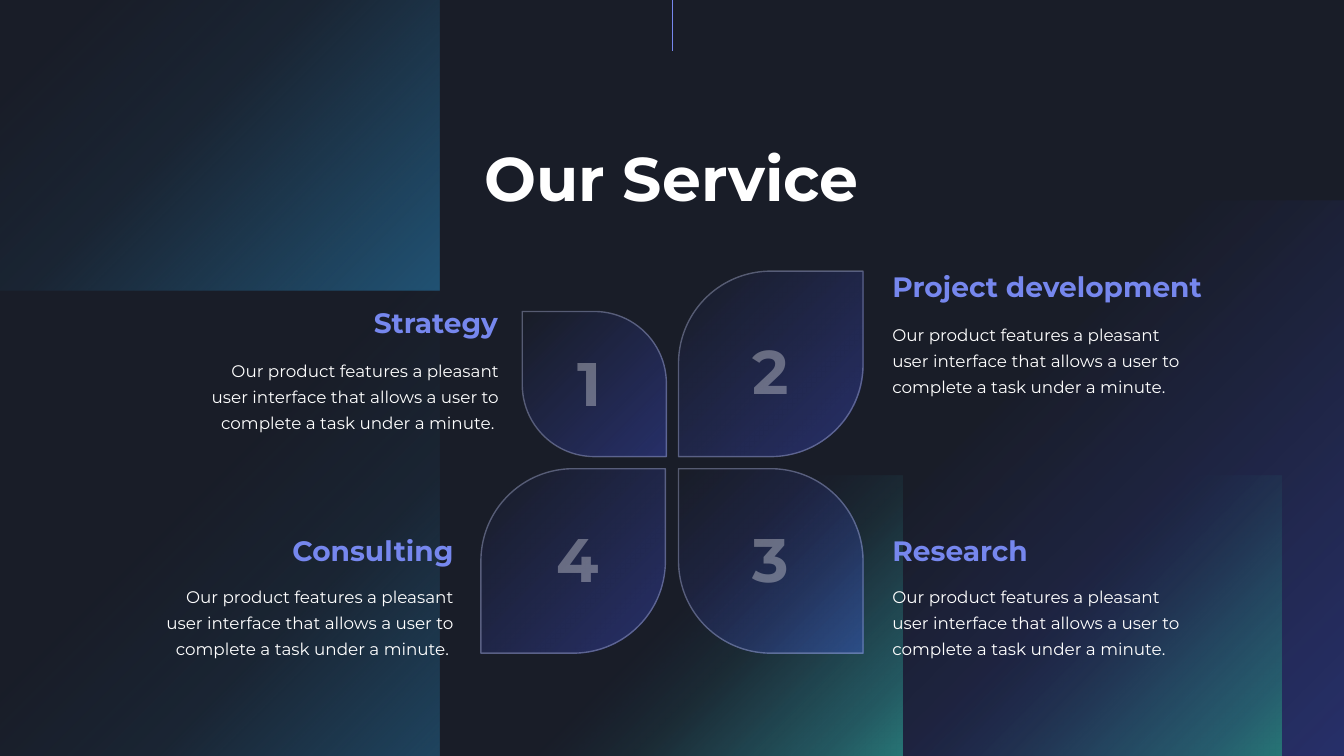
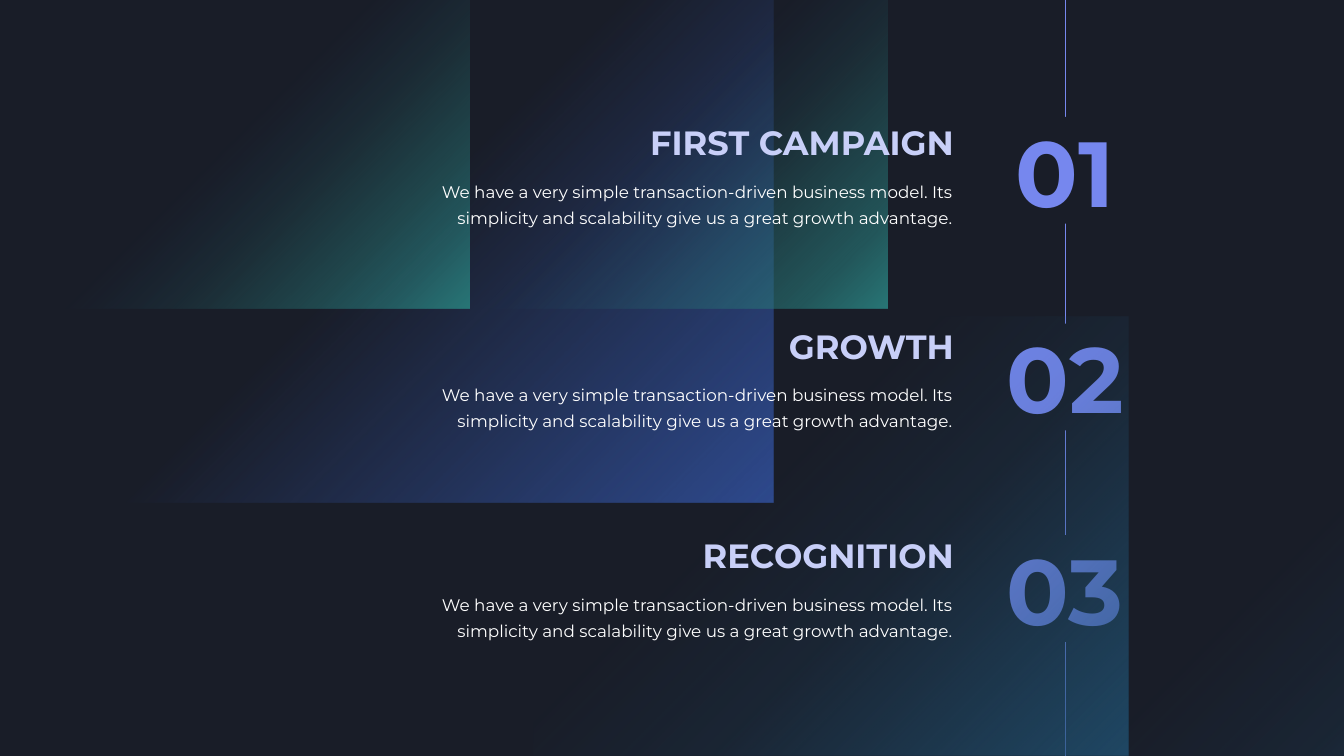
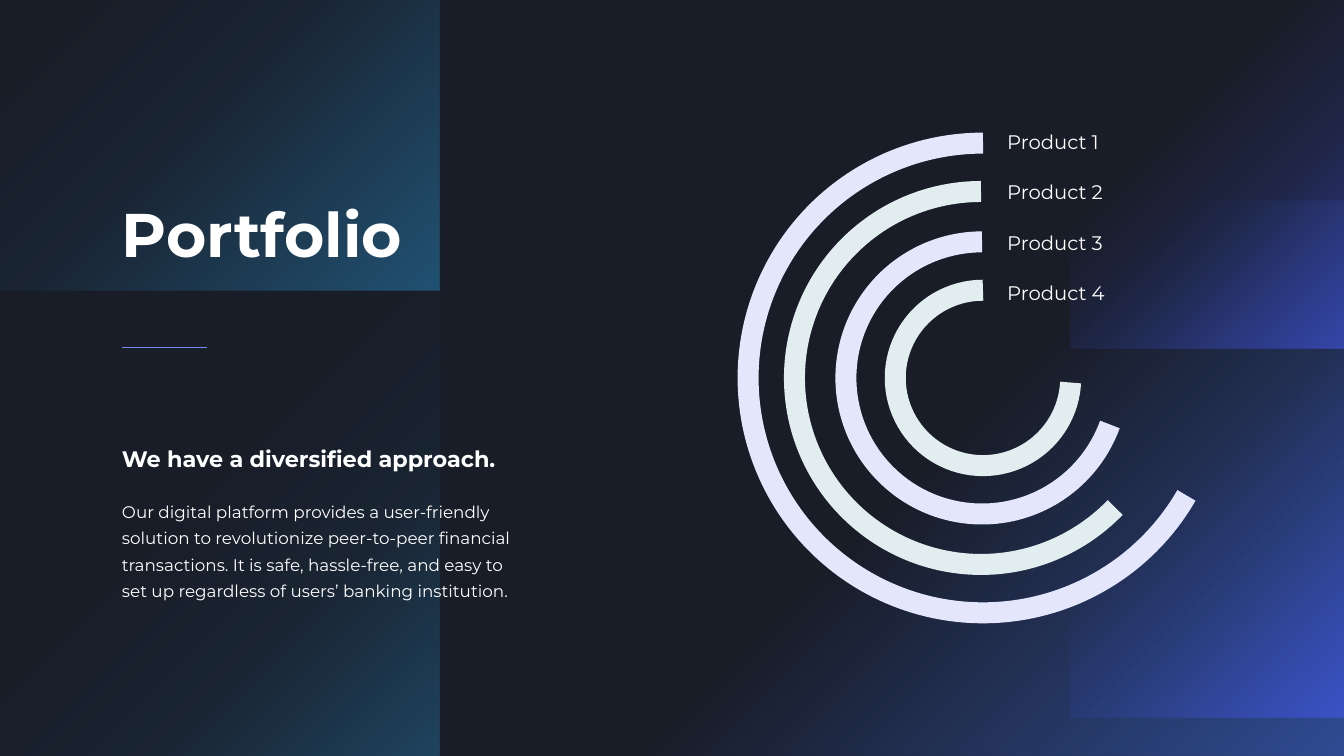
from lxml import etree
from pptx import Presentation
from pptx.dml.color import RGBColor
from pptx.enum.shapes import MSO_CONNECTOR, MSO_SHAPE
from pptx.enum.text import MSO_ANCHOR, MSO_AUTO_SIZE, PP_ALIGN
from pptx.oxml import parse_xml
from pptx.oxml.ns import nsdecls, qn
from pptx.util import Inches, Pt

RECT, LEAF, ARC = MSO_SHAPE.RECTANGLE, MSO_SHAPE.ROUND_2_DIAG_RECTANGLE, MSO_SHAPE.ARC
STRAIGHT = MSO_CONNECTOR.STRAIGHT
LEFT, CENTER, RIGHT = PP_ALIGN.LEFT, PP_ALIGN.CENTER, PP_ALIGN.RIGHT
TOP, MIDDLE, BOTTOM = MSO_ANCHOR.TOP, MSO_ANCHOR.MIDDLE, MSO_ANCHOR.BOTTOM

THEME = {
    "font": "Montserrat",
    "background": "191D28",
    "accent": "7687EE",
    "pale": "C8CFF8",
    "rings": ["E4E6FC", "E1EDEE"],
    "text": {
        "title": {"size": 44, "bold": True, "color": "FFFFFF"},
        "numeral": {"size": 44, "bold": True, "color": "FFFFFF", "alpha": 32},
        "heading": {"size": 20, "bold": True, "color": "7687EE", "spacing": 1.3},
        "caps": {"size": 24, "bold": True, "color": "C8CFF8"},
        "big": {"size": 66, "bold": True, "color": "7687EE"},
        "lead": {"size": 16, "bold": True, "color": "FFFFFF", "spacing": 1.3},
        "body": {"size": 12, "bold": False, "color": "FFFFFF", "spacing": 1.3},
        "label": {"size": 14, "bold": False, "color": "FFFFFF"},
    },
    "glow": {
        "teal": [(0, "215273", 100), (40, "215273", 15), (61, "215273", 0)],
        "soft_teal": [(0, "215273", 80), (40, "215273", 16), (61, "215273", 0)],
        "green": [(0, "287676", 100), (12, "287676", 65), (38, "287676", 19), (56, "215273", 0)],
        "indigo": [(0, "485BFF", 30), (51, "485BFF", 0)],
        "bright_indigo": [(0, "485BFF", 50), (34, "485BFF", 15), (61, "485BFF", 0)],
        "blue": [(0, "3558AE", 75), (51, "3558AE", 0)],
        "strong_blue": [(0, "3558AE", 80), (51, "3558AE", 0)],
        "leaf": [(0, "485BFF", 30), (97, "485BFF", 0)],
    },
}


def add_glow(s, box, glow, kind=RECT):
    sp = s.shapes.add_shape(kind, *map(Inches, box))
    sp.shadow.inherit = False
    stops = "".join(
        f'<a:gs pos="{pos * 1000}"><a:srgbClr val="{color}">'
        f'<a:alpha val="{alpha * 1000}"/></a:srgbClr></a:gs>'
        for pos, color, alpha in THEME["glow"][glow])
    sp._element.spPr.insert(2, parse_xml(
        f'<a:gradFill {nsdecls("a")}><a:gsLst>{stops}</a:gsLst>'
        '<a:path path="circle"><a:fillToRect l="100000" t="100000"/></a:path>'
        '<a:tileRect r="-100000" b="-100000"/></a:gradFill>'))
    sp.line.fill.background()
    return sp


def add_text(s, box, text, style, align=LEFT, anchor=TOP):
    look = THEME["text"][style]
    sp = s.shapes.add_textbox(*map(Inches, box))
    tf = sp.text_frame
    frame = {"word_wrap": True, "auto_size": MSO_AUTO_SIZE.NONE, "vertical_anchor": anchor,
             "margin_left": 0, "margin_right": 0,
             "margin_top": Inches(0.05), "margin_bottom": Inches(0.05)}
    for name, value in frame.items():
        setattr(tf, name, value)
    p = tf.paragraphs[0]
    p.alignment = align
    p.line_spacing = look.get("spacing")
    r = p.add_run()
    r.text = text
    for name, value in {"name": THEME["font"], "size": Pt(look["size"]), "bold": look["bold"]}.items():
        setattr(r.font, name, value)
    r.font.color.rgb = RGBColor.from_string(look["color"])
    if "alpha" in look:
        color = r._r.find(".//" + qn("a:srgbClr"))
        etree.SubElement(color, qn("a:alpha")).set("val", str(look["alpha"] * 1000))
    return sp


prs = Presentation()
prs.slide_width, prs.slide_height = Inches(13.33), Inches(7.5)

slides = []
for rule in [(6.67, 0, 6.67, 0.51), (10.57, 0, 10.57, 7.5), (1.21, 3.45, 2.05, 3.45)]:
    s = prs.slides.add_slide(prs.slide_layouts[6])
    s.background.fill.solid()
    s.background.fill.fore_color.rgb = RGBColor.from_string(THEME["background"])
    line = s.shapes.add_connector(STRAIGHT, *map(Inches, rule))
    line.line.color.rgb = RGBColor.from_string(THEME["accent"])
    line.line.width = Pt(0.75)
    etree.SubElement(line._element.spPr, qn("a:effectLst"))
    slides.append(s)
service, campaign, portfolio = slides

for s in (service, portfolio):
    for y in (-3.02, 2.87):
        add_glow(s, (0, y, 4.36, 5.9), "teal")

add_glow(service, (5.18, 1.99, 8.16, 5.51), "indigo")
for x in (5.18, 8.94):
    add_glow(service, (x, 4.72, 3.77, 2.78), "green")
add_text(service, (3.91, 1.34, 5.51, 0.89), "Our Service", "title", CENTER)

leaves = [
    ("1", (5.18, 3.09, 1.43, 1.44), (0, 0.5), (5.3, 3.37)),
    ("2", (6.73, 2.69, 1.83, 1.84), (0.5, 0), (7.1, 3.25)),
    ("4", (4.77, 4.65, 1.83, 1.83), (0.5, 0), (5.18, 5.12)),
    ("3", (6.73, 4.65, 1.83, 1.83), (0, 0.5), (7.1, 5.12)),
]
for numeral, box, corners, (x, y) in leaves:
    sp = add_glow(service, box, "leaf", LEAF)
    sp.adjustments[0], sp.adjustments[1] = corners
    sp.line.color.rgb = RGBColor.from_string(THEME["pale"])
    sp.line.width = Pt(1)
    color = sp._element.spPr.find(".//" + qn("a:ln") + "//" + qn("a:srgbClr"))
    etree.SubElement(color, qn("a:alpha")).set("val", "34000")
    add_text(service, (x, y, 1.09, 0.89), numeral, "numeral", CENTER)

feature = ("Our product features a pleasant user interface that allows "
           "a user to complete a task under a minute.")
services = [
    ("Strategy", (3.56, 2.88, 1.38, 0.58), (1.96, 3.47, 2.99, 0.77), RIGHT, TOP),
    ("Project development", (8.85, 2.52, 3.16, 0.58), (8.85, 3.11, 2.87, 0.77), LEFT, TOP),
    ("Consulting", (2.77, 5.18, 1.73, 0.5), (1.62, 5.82, 2.88, 0.77), RIGHT, BOTTOM),
    ("Research", (8.85, 5.18, 1.51, 0.5), (8.85, 5.82, 2.99, 0.77), LEFT, BOTTOM),
]
for heading, heading_box, body_box, align, anchor in services:
    body = feature + " " if align == RIGHT else feature
    add_text(service, heading_box, heading, "heading", align, anchor)
    add_text(service, body_box, body, "body", align, anchor)

steps = [("01", "FIRST CAMPAIGN", 1.16, 1.16), ("02", "GROWTH", 3.21, 3.18),
         ("03", "RECOGNITION", 5.31, 5.26)]
for number, heading, number_y, heading_y in steps:
    sp = add_text(campaign, (9.33, number_y, 2.47, 1.06), number, "big", CENTER, MIDDLE)
    sp.fill.solid()
    sp.fill.fore_color.rgb = RGBColor.from_string(THEME["background"])

add_glow(campaign, (0, 0, 7.67, 4.98), "blue")
for x in (5.29, 11.18):
    add_glow(campaign, (x, 3.14, 5.9, 4.36), "soft_teal")
for x in (0.52, 4.66):
    add_glow(campaign, (x, 0, 4.14, 3.06), "green")

model = ("We have a very simple transaction-driven business model. "
         "Its simplicity and scalability give us a great growth advantage.")
for number, heading, number_y, heading_y in steps:
    add_text(campaign, (5.96, heading_y, 3.5, 0.51), heading, "caps", RIGHT)
    add_text(campaign, (4.04, heading_y + 0.53, 5.41, 0.63), model, "body", RIGHT)

add_glow(portfolio, (5.18, 1.99, 8.16, 5.51), "strong_blue")
for y in (3.46, -0.2):
    add_glow(portfolio, (10.62, y, 2.71, 3.66), "bright_indigo")
add_text(portfolio, (1.21, 1.89, 4.5, 0.89), "Portfolio", "title")
add_text(portfolio, (1.21, 4.29, 4.25, 0.34), "We have a diversified approach.", "lead")
add_text(portfolio, (1.21, 4.87, 3.96, 1.23),
         "Our digital platform provides a user-friendly solution to revolutionize "
         "peer-to-peer financial transactions. It is safe, hassle-free, and easy to "
         "set up regardless of users’ banking institution.", "body")

rings = [(9.75, 2.33, 30), (9.73, 1.85, 44), (9.74, 1.35, 20), (9.75, 0.87, 3)]
for i, (x, radius, angle) in enumerate(rings):
    sp = portfolio.shapes.add_shape(
        ARC, *map(Inches, (x - radius, 3.75 - radius, 2 * radius, 2 * radius)))
    sp.shadow.inherit = False
    sp.adjustments[0], sp.adjustments[1] = angle * 0.6, 270 * 0.6
    sp.fill.background()
    sp.line.color.rgb = RGBColor.from_string(THEME["rings"][i % 2])
    sp.line.width = Pt(15)
    add_text(portfolio, (9.99, 1.21 + i * 0.5, 2.34, 0.39), f"Product {i + 1}", "label", LEFT, MIDDLE)

prs.save("out.pptx")
